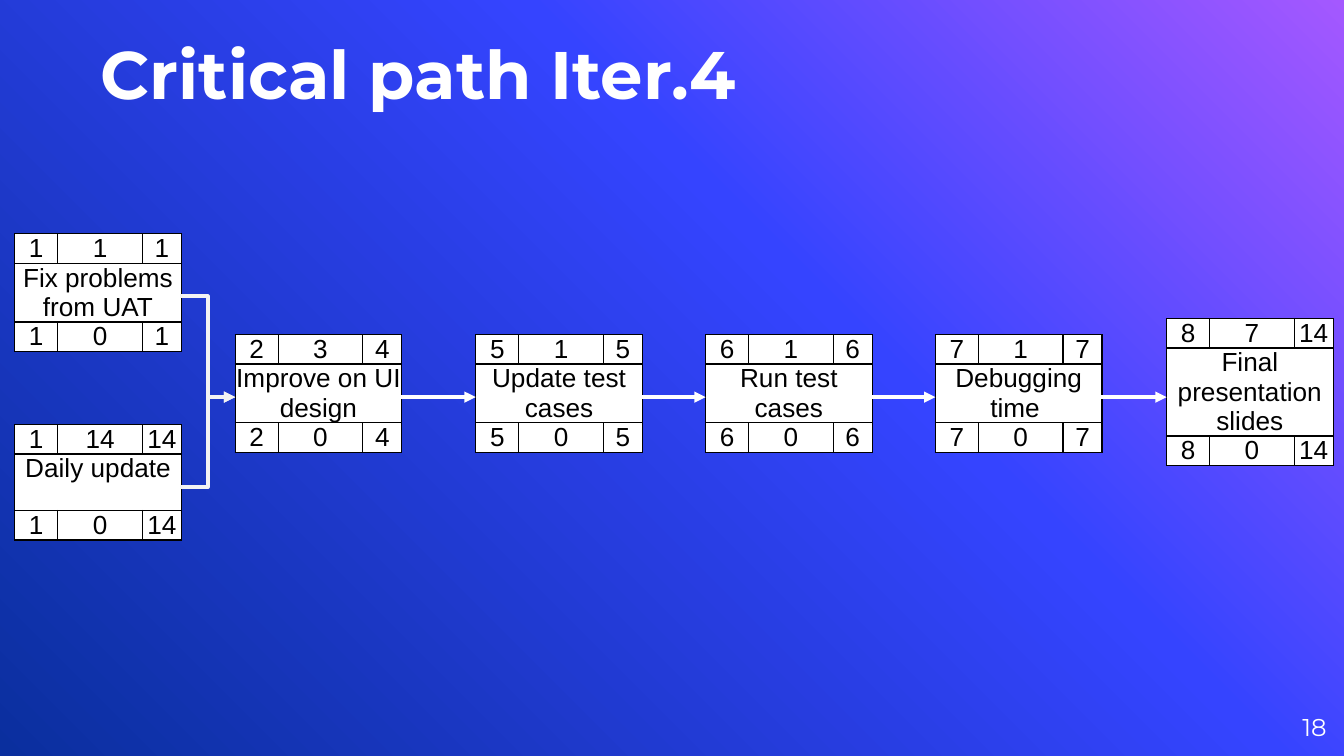
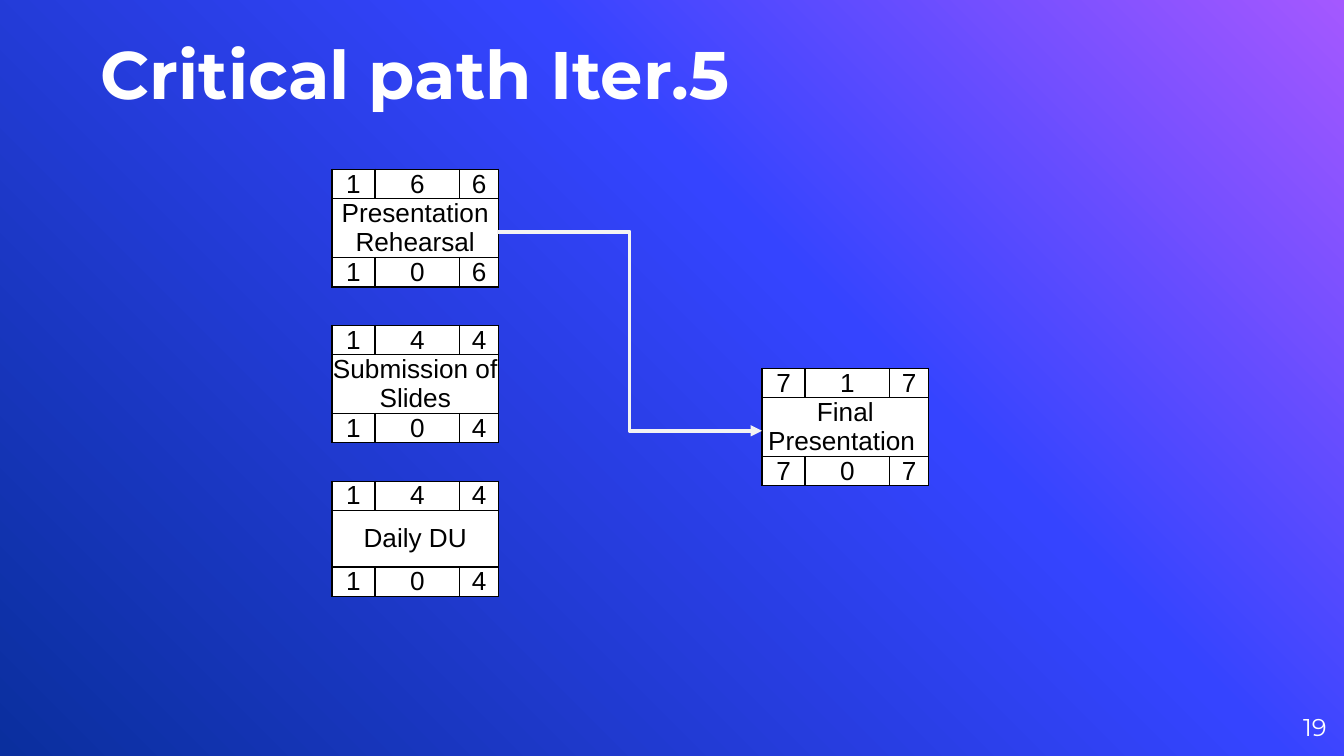
"""Build two critical path slides with task tables and arrows."""
from copy import deepcopy

from lxml.etree import SubElement
from pptx import Presentation
from pptx.dml.color import RGBColor
from pptx.enum.shapes import MSO_CONNECTOR
from pptx.enum.text import MSO_ANCHOR, MSO_AUTO_SIZE, PP_ALIGN
from pptx.oxml.ns import qn
from pptx.util import Inches, Pt

COLORS = {
    "purple": "A458FF",
    "blue": "3544FF",
    "navy": "0A2F9E",
    "white": "FFFFFF",
    "black": "000000",
    "bent": "F3F3F3",
}
GRADIENT = [("purple", 0), ("blue", 0.39), ("navy", 1)]
COLS = [0.32, 0.63, 0.29]
ROWS = [0.21, 0.42, 0.21]
TASK_W, TASK_H = 1.23, 0.93


def rgb(name):
    return RGBColor.from_string(COLORS[name])


def set_background(master):
    fill = master.background.fill
    fill.gradient()
    fill.gradient_angle = 225
    gs_list = master.element.xpath(".//p:bg//a:gsLst")[0]
    gs_list.append(deepcopy(gs_list[0]))
    for stop, (name, position) in zip(fill.gradient_stops, GRADIENT):
        stop.color.rgb = rgb(name)
        stop.position = position


def format_text(tf, font, size, color, align, bold=False):
    for p in tf.paragraphs:
        p.alignment = align
        for r in p.runs:
            r.font.name = font
            r.font.size = Pt(size)
            r.font.bold = bold
            r.font.color.rgb = rgb(color)


def set_frame(tf, anchor):
    tf.margin_left = tf.margin_right = tf.margin_top = tf.margin_bottom = 0
    tf.word_wrap = True
    tf.auto_size = MSO_AUTO_SIZE.NONE
    tf.vertical_anchor = anchor


def add_slide(prs, title, width, height, number):
    s = prs.slides.add_slide(prs.slide_layouts[5])
    box = s.shapes.add_textbox(Inches(9.27), Inches(5.19), Inches(0.6), Inches(0.43))
    set_frame(box.text_frame, MSO_ANCHOR.MIDDLE)
    box.text_frame.text = str(number)
    format_text(box.text_frame, "Montserrat", 13, "white", PP_ALIGN.RIGHT)

    sp = s.shapes.title
    sp.left, sp.top = Inches(0.75), Inches(0.24)
    sp.width, sp.height = Inches(width), Inches(height)
    set_frame(sp.text_frame, MSO_ANCHOR.TOP)
    sp.text_frame.text = title
    format_text(sp.text_frame, "Montserrat", 36, "white", PP_ALIGN.LEFT, True)
    return s


def format_cell(cell, anchor):
    cell.margin_left = cell.margin_right = cell.margin_top = cell.margin_bottom = 0
    cell.vertical_anchor = anchor
    tc_pr = cell._tc.get_or_add_tcPr()
    for side in ("lnL", "lnR", "lnT", "lnB"):
        ln = SubElement(tc_pr, qn(f"a:{side}"), w=str(Pt(0.75)))
        SubElement(SubElement(ln, qn("a:solidFill")), qn("a:srgbClr"), val=COLORS["black"])
    cell.fill.solid()
    cell.fill.fore_color.rgb = rgb("white")
    format_text(cell.text_frame, "Arial", 14, "black", PP_ALIGN.CENTER)


def add_task(s, left, top, name, early, late, height=TASK_H, anchor=MSO_ANCHOR.MIDDLE):
    frame = s.shapes.add_table(
        3, 3, Inches(left), Inches(top), Inches(TASK_W), Inches(height))
    table = frame.table
    table.first_row = table.horz_banding = False
    for col, width in zip(table.columns, COLS):
        col.width = Inches(width)
    for row, row_height in zip(table.rows, ROWS):
        row.height = Inches(row_height)
    frame.width, frame.height = Inches(TASK_W), Inches(height)
    table.cell(1, 0).merge(table.cell(1, 2))
    for i, texts in enumerate([early, [name, "", ""], late]):
        for j, text in enumerate(texts):
            cell = table.cell(i, j)
            cell.text = str(text)
            format_cell(cell, anchor if i == 1 else MSO_ANCHOR.MIDDLE)
    return frame


def add_arrow(s, start, end, kind=MSO_CONNECTOR.STRAIGHT, color="white"):
    line = s.shapes.add_connector(
        kind, start.left + start.width, start.top + start.height // 2,
        end.left, end.top + end.height // 2)
    line.line.color.rgb = rgb(color)
    line.line.width = Pt(2)
    sp_pr = line._element.spPr
    SubElement(sp_pr.find(qn("a:ln")), qn("a:tailEnd"), type="triangle")
    SubElement(sp_pr, qn("a:effectLst"))


def add_bent_arrow(s, start, end):
    add_arrow(s, start, end, MSO_CONNECTOR.ELBOW, "bent")


def add_iteration_4(prs):
    s = add_slide(prs, "Critical path Iter.4", 5.36, 1.35, 18)
    starts = [
        add_task(s, 0.11, 1.74, "Fix problems from UAT", (1, 1, 1), (1, 0, 1)),
        add_task(s, 0.11, 3.16, "Daily update", (1, 14, 14), (1, 0, 14),
                 anchor=MSO_ANCHOR.TOP),
    ]
    chain = [
        add_task(s, left, 2.49, name, early, late)
        for left, name, early, late in [
            (1.75, "Improve on UI design", (2, 3, 4), (2, 0, 4)),
            (3.54, "Update test cases", (5, 1, 5), (5, 0, 5)),
            (5.25, "Run test cases", (6, 1, 6), (6, 0, 6)),
            (6.96, "Debugging time ", (7, 1, 7), (7, 0, 7)),
        ]
    ]
    chain.append(add_task(
        s, 8.68, 2.37, "Final presentation slides", (8, 7, 14), (8, 0, 14), 1.17))
    for start in starts:
        add_bent_arrow(s, start, chain[0])
    for start, end in zip(chain, chain[1:]):
        add_arrow(s, start, end)


def add_iteration_5(prs):
    s = add_slide(prs, "Critical path Iter.5", 4.83, 0.8, 19)
    add_task(s, 2.47, 2.42, "Submission of Slides", (1, 4, 4), (1, 0, 4))
    rehearsal = add_task(s, 2.47, 1.26, "Presentation Rehearsal", (1, 6, 6), (1, 0, 6))
    final = add_task(s, 5.67, 2.74, "Final Presentation ", (7, 1, 7), (7, 0, 7))
    add_task(s, 2.47, 3.58, "Daily DU", (1, 4, 4), (1, 0, 4), 0.88)
    add_bent_arrow(s, rehearsal, final)


def main():
    prs = Presentation()
    prs.slide_width = Inches(10)
    prs.slide_height = prs.slide_width * 9 // 16
    set_background(prs.slide_master)
    add_iteration_4(prs)
    add_iteration_5(prs)
    prs.save("out.pptx")


if __name__ == "__main__":
    main()
